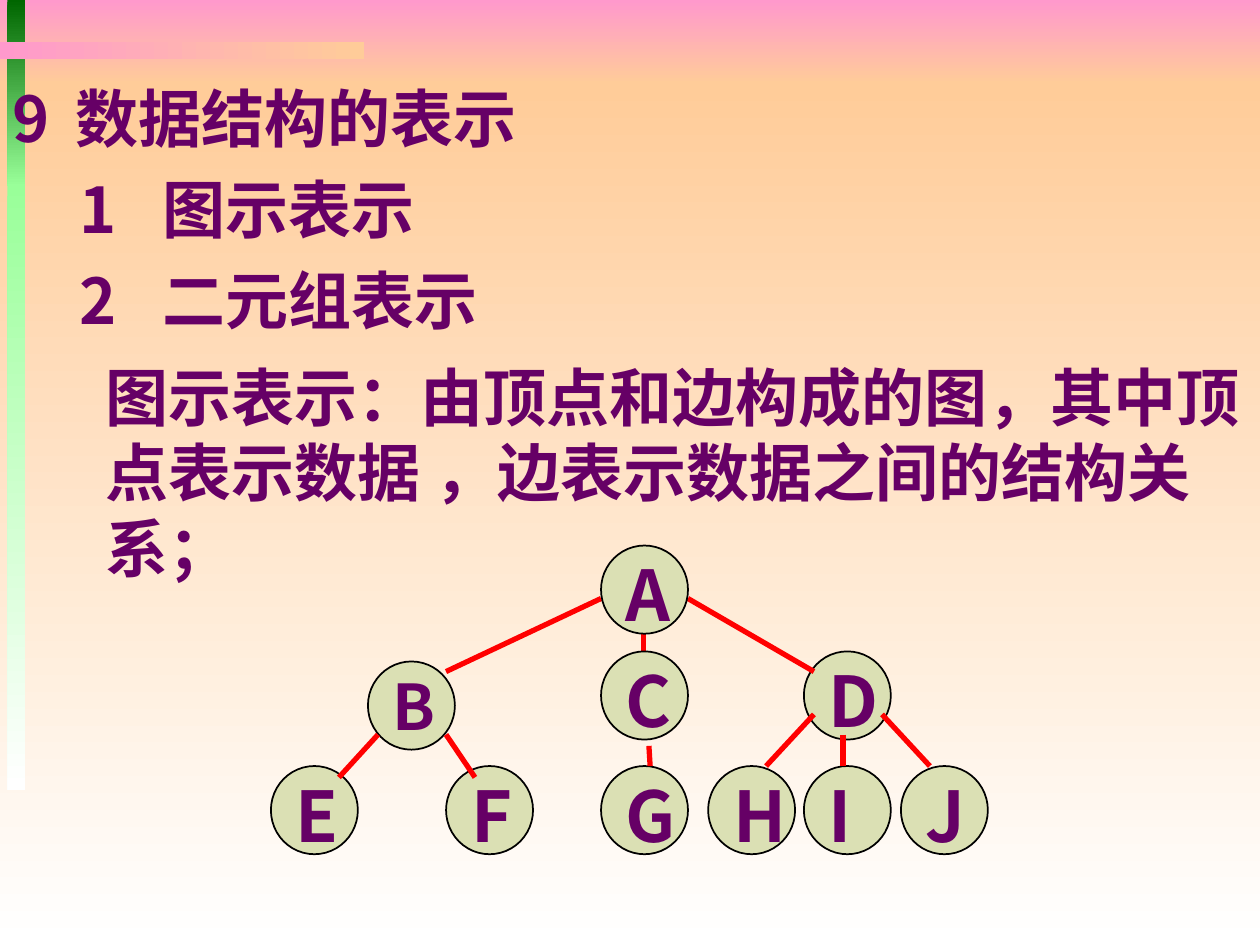
import pptx
import pptx.util
import pptx.dml.color
import pptx.enum.shapes
import pptx.enum.text
import pptx.oxml.ns
from lxml import etree

Inches = pptx.util.Inches
Pt = pptx.util.Pt
RGB = pptx.dml.color.RGBColor
SHAPE = pptx.enum.shapes.MSO_SHAPE

PINK = RGB(0xFF, 0x99, 0xCC)
PEACH = RGB(0xFF, 0xCC, 0x99)
WHITE = RGB(0xFF, 0xFF, 0xFF)
GREEN = RGB(0x00, 0x66, 0x00)
MINT = RGB(0x99, 0xFF, 0x99)
PURPLE = RGB(0x66, 0x00, 0x66)
SAGE = RGB(0xDB, 0xE0, 0xB4)
BLACK = RGB(0, 0, 0)
RED = RGB(0xFF, 0, 0)
FONT = "Noto Sans CJK SC"

NODE_W, NODE_H = 0.69, 0.7
LEAF_Y = 1.75

# Tree nodes: letter, left, top (from the tree's corner), text size
LOWER = [
    ("J", 5, LEAF_Y, 40), ("I", 4.23, LEAF_Y, 40), ("H", 3.47, LEAF_Y, 40),
    ("G", 2.62, LEAF_Y, 40), ("F", 1.39, LEAF_Y, 40), ("E", 0, LEAF_Y, 40),
    ("D", 4.23, 0.84, 40), ("B", 0.77, 0.92, 36),
]
UPPER = [("A", 2.62, 0, 40), ("C", 2.62, 0.84, 40)]

# Tree edges: x and y of both ends, from the tree's corner
EDGES = [
    (2.62, 0.42, 1.39, 1), (0.85, 1.5, 0.54, 1.84), (1.39, 1.5, 1.62, 1.84),
    (3, 1.59, 3.01, 1.75), (2.96, 0.67, 2.96, 0.92), (3.31, 0.42, 4.31, 1),
    (4.31, 1.34, 3.93, 1.75), (4.54, 1.5, 4.54, 1.75), (4.85, 1.34, 5.23, 1.75),
]


def place(shape, left, top, width, height):
    shape.left, shape.top = Inches(left), Inches(top)
    shape.width, shape.height = Inches(width), Inches(height)


def write(shape, *lines, size=36, before=0, hang=0, margin=0):
    """Fill a shape with paragraphs; hang is the width kept for a number."""
    frame = shape.text_frame
    frame.word_wrap = True
    frame.auto_size = pptx.enum.text.MSO_AUTO_SIZE.NONE
    frame.vertical_anchor = pptx.enum.text.MSO_ANCHOR.TOP
    for i, line in enumerate(lines):
        para = frame.add_paragraph() if i else frame.paragraphs[0]
        para.alignment = pptx.enum.text.PP_ALIGN.LEFT
        para.line_spacing = Pt(round(size * 1.2))
        para.space_before = Pt(before if i else 0)
        props = para._p.get_or_add_pPr()
        props.set("marL", str(Inches(margin)))
        props.set("indent", str(Inches(-hang)))
        run = para.add_run()
        run.text = line
        font = run.font
        font.name, font.size, font.bold = FONT, Pt(size), True
        font.color.rgb = PURPLE
        east = etree.SubElement(font._element, pptx.oxml.ns.qn("a:ea"))
        east.set("typeface", FONT)


def add_text(slide, box, *lines, **look):
    shape = slide.shapes.add_textbox(*map(Inches, box))
    write(shape, *lines, **look)


def add_band(slide, box, first, last, angle=270):
    band = slide.shapes.add_shape(SHAPE.RECTANGLE, *map(Inches, box))
    band.shadow.inherit = False
    band.line.fill.background()
    band.fill.gradient()
    band.fill.gradient_angle = angle
    for stop, color in zip(band.fill.gradient_stops, (first, last)):
        stop.color.rgb = color


def add_backdrop(slide, width, height):
    # Page gradient
    add_band(slide, (0, 0, width, 0.67), PINK, PEACH)
    add_band(slide, (0, 0.67, width, height - 0.67), PEACH, WHITE)
    # Green stripe
    add_band(slide, (0.06, 0, 0.14, 1.48), GREEN, MINT)
    add_band(slide, (0.06, 1.46, 0.14, 4.81), MINT, WHITE)
    # Pink bar
    add_band(slide, (0, 0.33, 2.89, 0.14), PINK, PEACH, angle=0)


def add_title(slide, box):
    title = slide.shapes.title
    place(title, *box)
    write(title, "9\t数据结构的表示", hang=0.5, margin=0.5)
    # Bring the title in front of the backdrop
    slide.shapes.element.append(title.element)


def add_node(slide, left, top, letter, size):
    disc = slide.shapes.add_shape(
        SHAPE.OVAL, Inches(left), Inches(top), Inches(NODE_W), Inches(NODE_H))
    disc.shadow.inherit = False
    disc.fill.solid()
    disc.fill.fore_color.rgb = SAGE
    disc.line.color.rgb = BLACK
    disc.line.width = Pt(1)
    tall = round(size / 60 + 0.1, 2)
    add_text(slide, (left + 0.1, top, 0.7, tall), letter, size=size)


def add_edge(slide, *ends):
    edge = slide.shapes.add_connector(
        pptx.enum.shapes.MSO_CONNECTOR.STRAIGHT, *map(Inches, ends))
    edge.line.color.rgb = RED
    edge.line.width = Pt(3)
    etree.SubElement(edge.element.spPr, pptx.oxml.ns.qn("a:effectLst"))


def add_tree(slide, left, top):
    def add_nodes(nodes):
        for letter, x, y, size in nodes:
            add_node(slide, left + x, top + y, letter, size)

    add_nodes(LOWER)
    for x1, y1, x2, y2 in EDGES:
        add_edge(slide, left + x1, top + y1, left + x2, top + y2)
    add_nodes(UPPER)


def main():
    deck = pptx.Presentation()
    deck.slide_width, deck.slide_height = Inches(10), Inches(7.5)
    slide = deck.slides.add_slide(deck.slide_layouts[5])
    add_backdrop(slide, 10, 7.5)
    add_title(slide, (0, 0.58, 10, 0.73))
    # Numbered list
    add_text(slide, (0, 1.31, 10, 1.42), "1\t图示表示", "2\t二元组表示",
             before=9, hang=0.66, margin=1.19)
    # Explanation
    add_text(slide, (0.74, 2.8, 9.26, 1.9),
             "图示表示：由顶点和边构成的图，其中顶点表示数据 ，边表示数据之间的结构关系；")
    add_tree(slide, 2.15, 4.33)
    deck.save("out.pptx")


if __name__ == "__main__":
    main()
